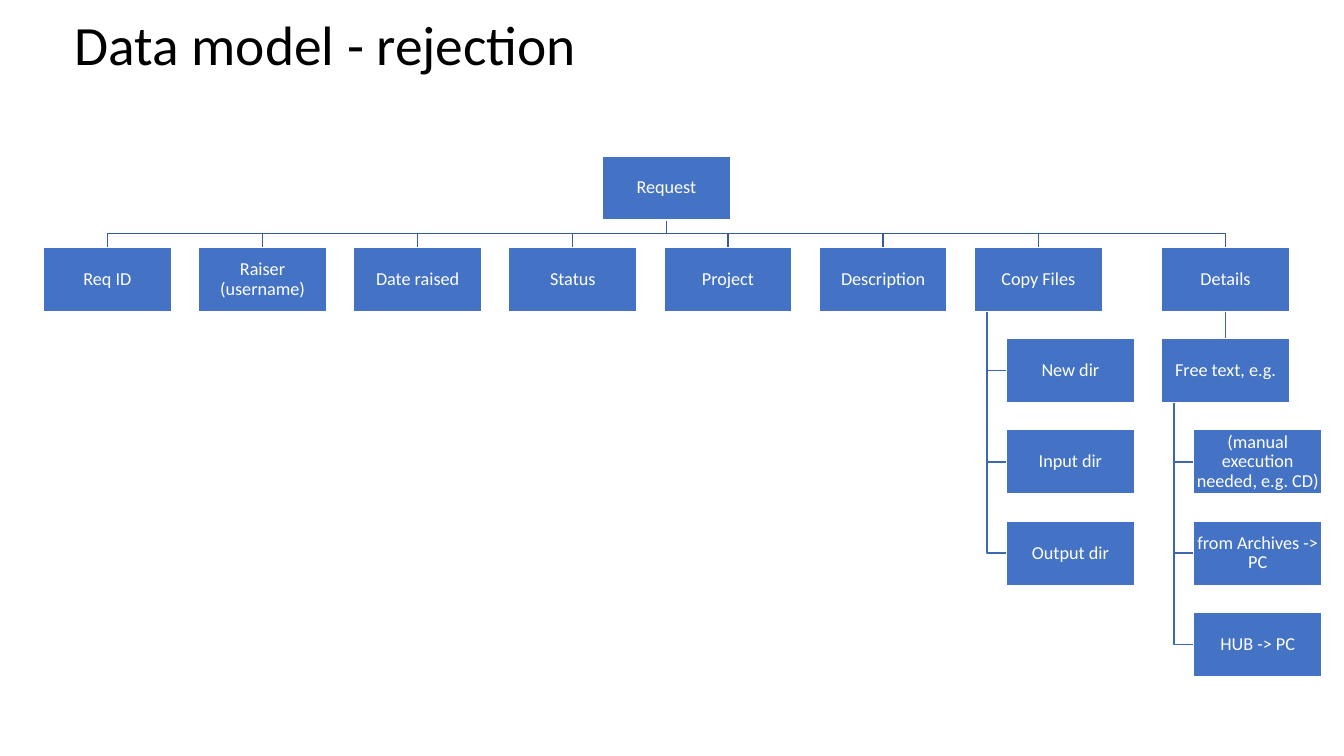
"""Draw the request data model as a tree of boxes."""
from dataclasses import dataclass
from lxml.etree import SubElement
from pptx import Presentation
from pptx.dml.color import RGBColor
from pptx.enum.shapes import MSO_CONNECTOR, MSO_SHAPE
from pptx.enum.text import MSO_ANCHOR, PP_ALIGN
from pptx.oxml.ns import qn
from pptx.util import Cm, Pt

TITLE = "Data model - rejection"
ROOT = "Request"
FIELDS = [
    ("Req ID", []),
    ("Raiser (username)", []),
    ("Date raised", []),
    ("Status", []),
    ("Project", []),
    ("Description", []),
    ("Copy Files", [("New dir", []), ("Input dir", []), ("Output dir", [])]),
    ("Details", [
        ("Free text, e.g.", [
            ("(manual execution needed, e.g. CD)", []),
            ("from Archives -> PC", []),
            ("HUB -> PC", []),
        ]),
    ]),
]


@dataclass(frozen=True)
class Theme:
    font: str = "Calibri"
    head: float = 39.6
    label: float = 13
    line: float = 1
    ink: str = "000000"
    white: str = "FFFFFF"
    box: str = "4472C4"
    trunk: str = "365B9D"
    branch: str = "3E67B2"


theme = Theme()
LEFT, TOP = 1.09, 3.93
WIDE, HIGH = 3.23, 1.62
STEP, ROW = 3.91, 2.3
INDENT, STEM = 0.81, 0.32

deck = Presentation()
deck.slide_width, deck.slide_height = Cm(33.87), Cm(19.05)
slide = deck.slides.add_slide(deck.slide_layouts[6])
shapes = slide.shapes
boxes, links = [], []


def tint(name):
    return RGBColor.from_string(name)


def write(frame, text, size, color, space, inset=None):
    frame.word_wrap = True
    frame.vertical_anchor = MSO_ANCHOR.MIDDLE
    if inset is not None:
        frame.margin_left = frame.margin_right = inset
        frame.margin_top = frame.margin_bottom = inset
    para = frame.paragraphs[0]
    para.line_spacing = space
    run = para.add_run()
    run.text = text
    run.font.name, run.font.size = theme.font, Pt(size)
    run.font.color.rgb = tint(color)
    return para


def place(name, kids, x, y):
    boxes.append((name, x, y))
    hang = len(kids) > 1
    for row, (kid, subs) in enumerate(kids, 1):
        left, top = x + INDENT * hang, y + ROW * row
        if hang:
            stem, mid = x + STEM, top + HIGH / 2
            points = [(stem, y + HIGH), (stem, mid), (left, mid)]
        else:
            points = [(x + WIDE / 2, y + HIGH), (x + WIDE / 2, top)]
        links.append((points, theme.branch))
        place(kid, subs, left, top)


def join(points, color):
    spots = [(Cm(x), Cm(y)) for x, y in points]
    if len(spots) == 2:
        link = shapes.add_connector(MSO_CONNECTOR.STRAIGHT, *spots[0], *spots[1])
        SubElement(link._element.spPr, qn("a:effectLst"))
    else:
        pen = shapes.build_freeform(*spots[0])
        pen.add_line_segments(spots[1:], close=False)
        link = pen.convert_to_shape()
        link.fill.background()
        link.shadow.inherit = False
    link.line.color.rgb = tint(color)
    link.line.width = Pt(theme.line)


def draw(name, x, y):
    box = shapes.add_shape(MSO_SHAPE.RECTANGLE, Cm(x), Cm(y), Cm(WIDE), Cm(HIGH))
    box.shadow.inherit = False
    box.fill.solid()
    box.fill.fore_color.rgb = tint(theme.box)
    box.line.color.rgb = tint(theme.white)
    box.line.width = Pt(theme.line)
    para = write(box.text_frame, name, theme.label, theme.white, 0.9, Cm(0.02))
    para.alignment = PP_ALIGN.CENTER


lefts, x = [], LEFT
for name, kids in FIELDS:
    lefts.append(x)
    x += STEP + INDENT * (len(kids) > 1)

crown = (lefts[0] + lefts[-1]) / 2
boxes.append((ROOT, crown, TOP))
start, end = TOP + HIGH, TOP + ROW
bar, hub = (start + end) / 2, crown + WIDE / 2
for (name, kids), x in zip(FIELDS, lefts):
    mid = x + WIDE / 2
    links.append(([(hub, start), (hub, bar), (mid, bar), (mid, end)], theme.trunk))
    place(name, kids, x, end)

for link in links:
    join(*link)
for box in boxes:
    draw(*box)

head = shapes.add_textbox(Cm(1.63), Cm(0.41), Cm(29.2), Cm(1.68))
write(head.text_frame, TITLE, theme.head, theme.ink, 0.8)
deck.save("out.pptx")
